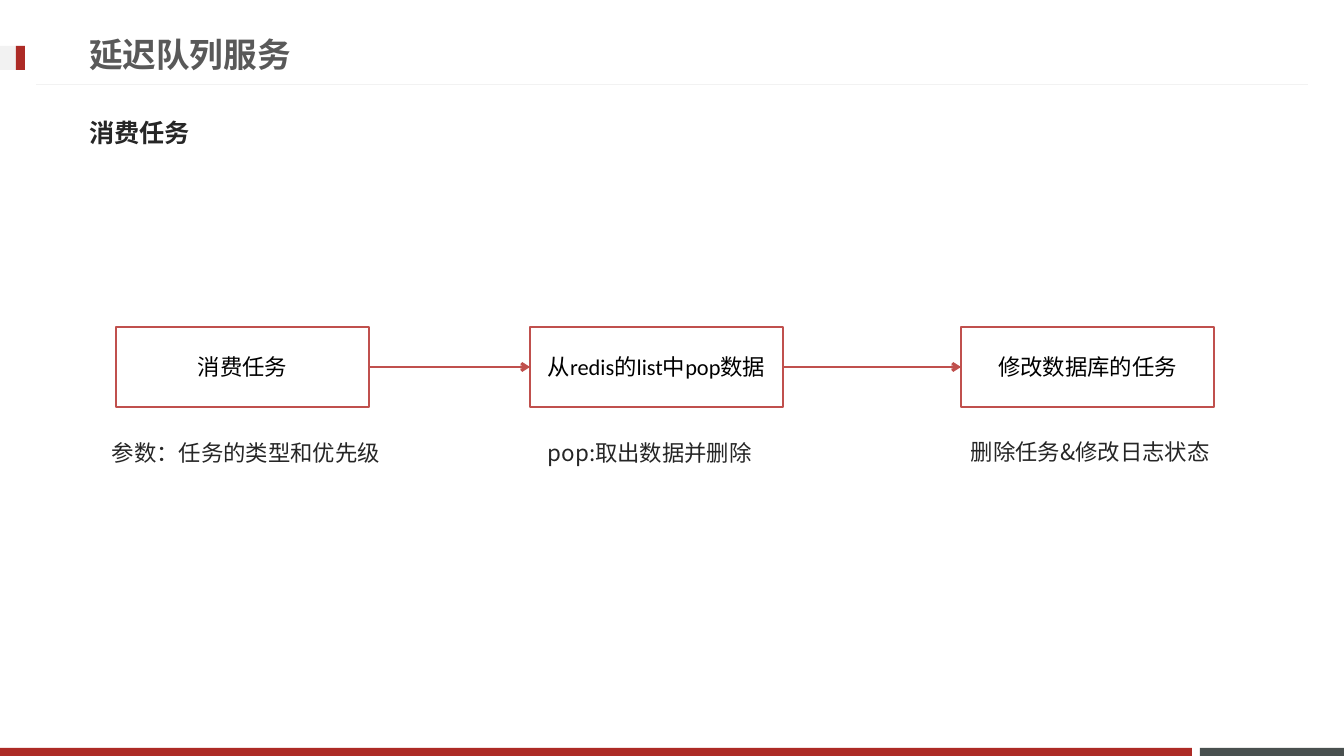
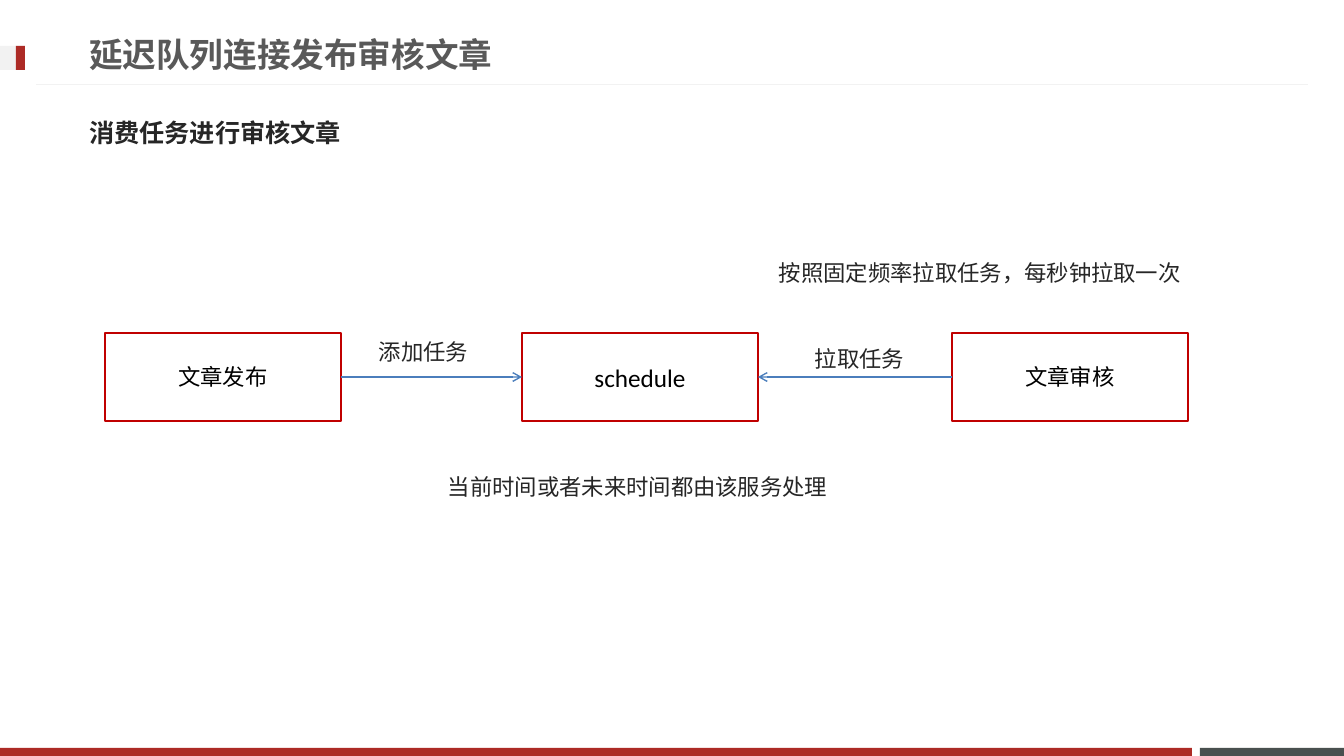
"""Builds two slides with flow diagrams of a delay queue service."""
from lxml.etree import SubElement
from pptx import Presentation
from pptx.dml.color import RGBColor
from pptx.enum.lang import MSO_LANGUAGE_ID as LANGUAGE
from pptx.enum.shapes import MSO_CONNECTOR as CONNECTOR, MSO_SHAPE as SHAPE
from pptx.enum.text import MSO_ANCHOR as ANCHOR, MSO_AUTO_SIZE as AUTO_SIZE, PP_ALIGN as ALIGN
from pptx.oxml.ns import qn
from pptx.util import Pt

PX = 9071
RED = RGBColor(0xAD, 0x2B, 0x26)
SLATE = RGBColor(0x49, 0x50, 0x4F)
PALE = RGBColor(0xF2, 0xF2, 0xF2)
GREY = RGBColor(0x59, 0x59, 0x59)
INK = RGBColor(0x26, 0x26, 0x26)
BLACK = RGBColor(0, 0, 0)
BRICK = RGBColor(0xC0, 0x50, 0x4D)
CRIMSON = RGBColor(0xC0, 0, 0)
BLUE = RGBColor(0x4B, 0x7E, 0xBC)
CJK_FONT = "Noto Sans CJK JP"
LEFT, RIGHT = 1, 3

BANDS = [
    ((1200, 748, 144, 8), SLATE),
    ((0, 748, 1192, 8), RED),
    ((0, 46, 25, 24), PALE),
    ((16, 46, 9, 24), RED),
]
TITLE_BOX = (79, 26, 967, 57)
SUBTITLE_BOX = (79, 104, 1179, 57)

SLIDES = [
    {
        "title": "延迟队列服务",
        "subtitle": "消费任务",
        "boxes": [(116, "消费任务", 16), (530, "从redis的list中pop数据", 16), (961, "修改数据库的任务", 16)],
        "box_frame": (327, 253, 80),
        "box_line": BRICK,
        "arrows": [(0, RIGHT, 1, LEFT), (1, RIGHT, 2, LEFT)],
        "arrow_line": (BRICK, 2),
        "labels": [
            ((102, 421, 291, 57), "参数：任务的类型和优先级"),
            ((538, 421, 284, 57), "pop:取出数据并删除"),
            ((961, 420, 284, 57), "删除任务&修改日志状态"),
        ],
    },
    {
        "title": "延迟队列连接发布审核文章",
        "subtitle": "消费任务进行审核文章",
        "boxes": [(105, "文章发布", 16), (522, "schedule", 18), (952, "文章审核", 16)],
        "box_frame": (333, 236, 88),
        "box_line": CRIMSON,
        "arrows": [(0, RIGHT, 1, LEFT), (2, LEFT, 1, RIGHT)],
        "arrow_line": (BLUE, 1),
        "labels": [
            ((438, 455, 416, 78), "当前时间或者未来时间都由该服务处理"),
            ((369, 320, 125, 78), "添加任务"),
            ((805, 327, 125, 78), "拉取任务"),
            ((769, 241, 488, 57), "按照固定频率拉取任务，每秒钟拉取一次"),
        ],
    },
]


def write_text(shape, text, size=16, font=CJK_FONT, color=INK, bold=False,
               align=ALIGN.LEFT, anchor=ANCHOR.MIDDLE, spacing=1.0):
    frame = shape.text_frame
    frame.word_wrap = True
    frame.auto_size = AUTO_SIZE.NONE
    frame.vertical_anchor = anchor
    paragraph = frame.paragraphs[0]
    paragraph.alignment = align
    paragraph.line_spacing = spacing
    paragraph.space_before = Pt(0)
    properties = paragraph._p.get_or_add_pPr()
    properties.set("marL", "0")
    properties.set("indent", "0")
    SubElement(properties, qn("a:buNone"))
    run = paragraph.add_run()
    run.text = text
    run.font.name = font
    run.font.size = Pt(size)
    run.font.bold = bold
    run.font.color.rgb = color
    run.font.language_id = LANGUAGE.SIMPLIFIED_CHINESE
    SubElement(run._r.get_or_add_rPr(), qn("a:ea"), typeface=CJK_FONT)


def add_line(slide, start, end, color, width):
    line = slide.shapes.add_connector(CONNECTOR.STRAIGHT, *(value * PX for value in start + end))
    line.line.color.rgb = color
    line.line.width = Pt(width)
    SubElement(line._element.spPr, qn("a:effectLst"))
    return line


presentation = Presentation()
presentation.slide_width = 1344 * PX
presentation.slide_height = 756 * PX

for content in SLIDES:
    slide = presentation.slides.add_slide(presentation.slide_layouts[1])

    for position, color in BANDS:
        band = slide.shapes.add_shape(SHAPE.RECTANGLE, *(value * PX for value in position))
        band.shadow.inherit = False
        band.fill.solid()
        band.fill.fore_color.rgb = color
        band.line.fill.background()
    add_line(slide, (1308, 85), (36, 85), PALE, 0.75)

    title, subtitle = slide.placeholders
    for placeholder, position in ((title, TITLE_BOX), (subtitle, SUBTITLE_BOX)):
        placeholder.left, placeholder.top, placeholder.width, placeholder.height = (
            value * PX for value in position)
    write_text(title, content["title"], size=24, font="Arial", color=GREY, bold=True)
    write_text(subtitle, content["subtitle"], size=18, bold=True)

    boxes = []
    top, width, height = content["box_frame"]
    for left, text, size in content["boxes"]:
        box = slide.shapes.add_shape(SHAPE.RECTANGLE, left * PX, top * PX, width * PX, height * PX)
        box.shadow.inherit = False
        box.fill.background()
        box.line.color.rgb = content["box_line"]
        box.line.width = Pt(2)
        write_text(box, text, size=size, font="Calibri", color=BLACK, align=ALIGN.CENTER)
        boxes.append(box)

    for source, source_side, target, target_side in content["arrows"]:
        arrow = add_line(slide, (0, 0), (0, 0), *content["arrow_line"])
        arrow.begin_connect(boxes[source], source_side)
        arrow.end_connect(boxes[target], target_side)
        SubElement(arrow.line._get_or_add_ln(), qn("a:tailEnd"), type="arrow")

    for position, text in content["labels"]:
        label = slide.shapes.add_textbox(*(value * PX for value in position))
        write_text(label, text, anchor=ANCHOR.TOP, spacing=1.5)

presentation.save("out.pptx")
